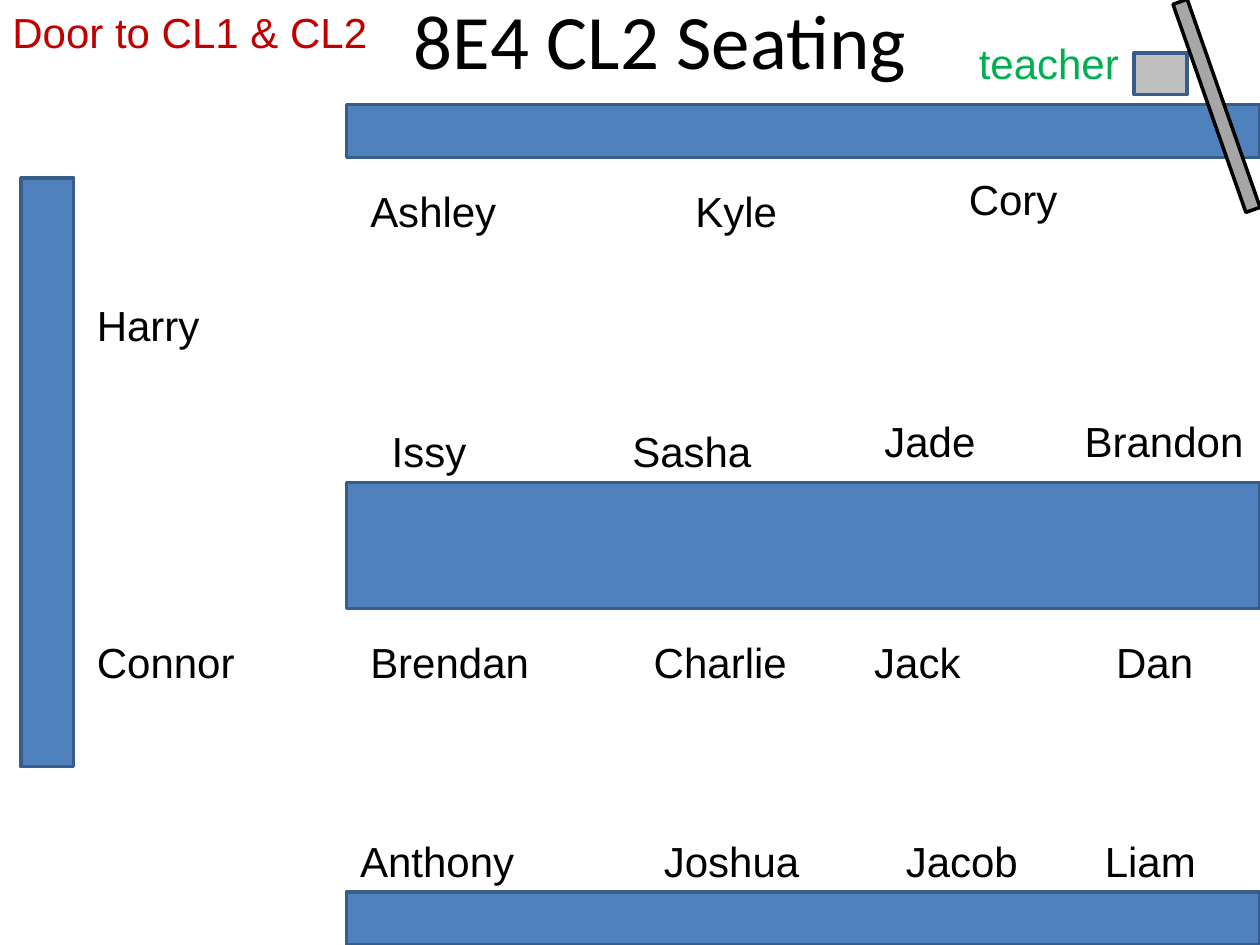
from pptx import Presentation
from pptx.dml.color import RGBColor
from pptx.enum.shapes import MSO_SHAPE
from pptx.enum.text import MSO_ANCHOR, MSO_AUTO_SIZE, PP_ALIGN
from pptx.util import Inches, Pt

RECT = MSO_SHAPE.RECTANGLE
MIDDLE = MSO_ANCHOR.MIDDLE
GROW = MSO_AUTO_SIZE.SHAPE_TO_FIT_TEXT
CENTER, LEFT = PP_ALIGN.CENTER, PP_ALIGN.LEFT

COLORS = {
    "bench": "4F81BD", "edge": "385D8A", "desk": "BFBFBF", "board": "A6A6A6",
    "black": "000000", "door": "C00000", "teacher": "00B050",
}

# Benches across the room: top, height
BENCH_LEFT, BENCH_WIDTH = 2.75, 7.25
BENCHES = [(0.83, 0.42), (7.08, 0.42), (3.83, 1)]

# Other furniture: left, top, width, height, turn, fill, edge
SIDE = (-1.96, 3.54, 4.67, 0.42, 90, "bench", "edge")
DESK = (9, 0.42, 0.42, 0.33, 0, "desk", "edge")
BOARD = (8.78, 0.78, 1.75, 0.12, 70.7, "board", "black")

# Labels: text, left, top, width, color
LABELS = [
    ("Door to CL1 & CL2", 0, 0, 3.08, "door"),
    ("teacher", 7.67, 0.25, 1.63, "teacher"),
]

# Pupils by row: top, then name, left, width
SLACK = 0.02  # keeps each name on one line
SEATS = [
    (1.33, [("Cory", 7.59, 0.9)]),
    (1.42, [("Ashley", 2.84, 1.2), ("Kyle", 5.42, 0.85)]),
    (2.33, [("Harry", 0.67, 1.01)]),
    (3.25, [("Jade", 6.92, 0.92), ("Brandon", 8.51, 1.46)]),
    (3.33, [("Issy", 3.01, 0.79), ("Sasha", 4.92, 1.14)]),
    (5, [("Connor", 0.67, 1.29), ("Brendan", 2.84, 1.46),
         ("Charlie", 5.09, 1.25), ("Jack", 6.84, 0.88), ("Dan", 8.76, 0.81)]),
    (6.58, [("Anthony", 2.76, 1.42), ("Joshua", 5.17, 1.27),
            ("Jacob", 7.09, 1.09), ("Liam", 8.67, 0.92)]),
]


def color(name):
    return RGBColor.from_string(COLORS[name])


def add_block(slide, left, top, width, height, turn, fill, edge):
    block = slide.shapes.add_shape(
        RECT, Inches(left), Inches(top), Inches(width), Inches(height))
    block.rotation = turn
    block.shadow.inherit = False
    block.fill.solid()
    block.fill.fore_color.rgb = color(fill)
    block.line.color.rgb = color(edge)
    block.line.width = Pt(2)


def add_text(slide, text, left, top, width, height=0.5, ink="black",
             wrap=True, font="Arial", size=24, align=LEFT):
    box = slide.shapes.add_textbox(
        Inches(left), Inches(top), Inches(width), Inches(height))
    frame = box.text_frame
    frame.word_wrap = wrap
    para = frame.paragraphs[0]
    para.text = text
    para.alignment = align
    para.font.name = font
    para.font.size = Pt(size)
    para.font.color.rgb = color(ink)
    return frame


def main():
    deck = Presentation()
    deck.slide_width, deck.slide_height = Inches(10), Inches(7.5)
    slide = deck.slides.add_slide(deck.slide_layouts[6])

    # Title
    title = add_text(slide, "8E4 CL2 Seating", 0.74, -0.17, 9, 0.95,
                     font="Calibri", size=44, align=CENTER)
    title.vertical_anchor = MIDDLE

    # Furniture
    for top, height in BENCHES:
        add_block(slide, BENCH_LEFT, top, BENCH_WIDTH, height,
                  0, "bench", "edge")
    for block in (SIDE, DESK, BOARD):
        add_block(slide, *block)

    # Door and teacher
    for text, left, top, width, ink in LABELS:
        add_text(slide, text, left, top, width, ink=ink).auto_size = GROW

    # Pupils
    for top, row in SEATS:
        for name, left, width in row:
            seat = add_text(slide, name, left, top, width + SLACK, wrap=False)
            seat.auto_size = GROW

    deck.save("out.pptx")


if __name__ == "__main__":
    main()
